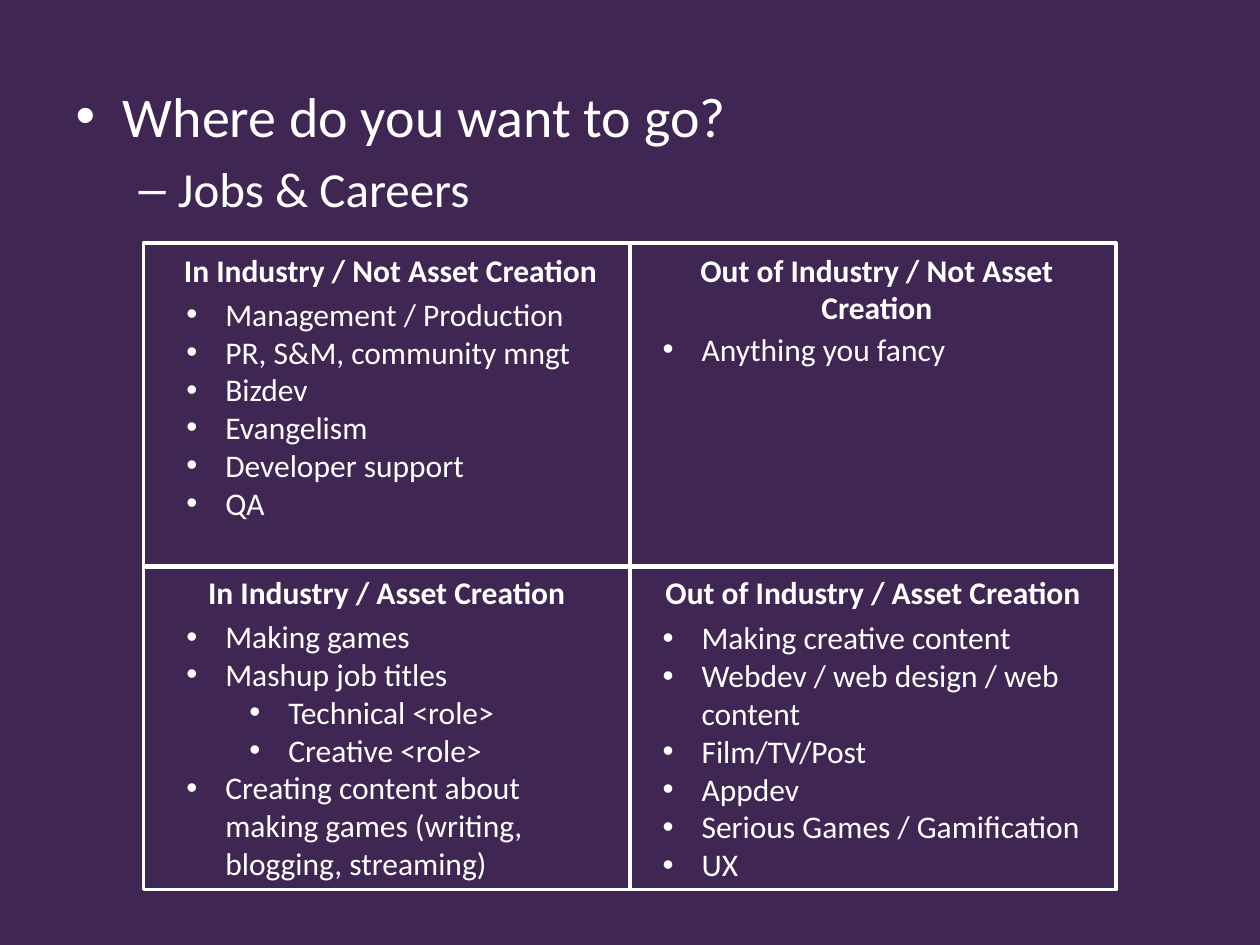
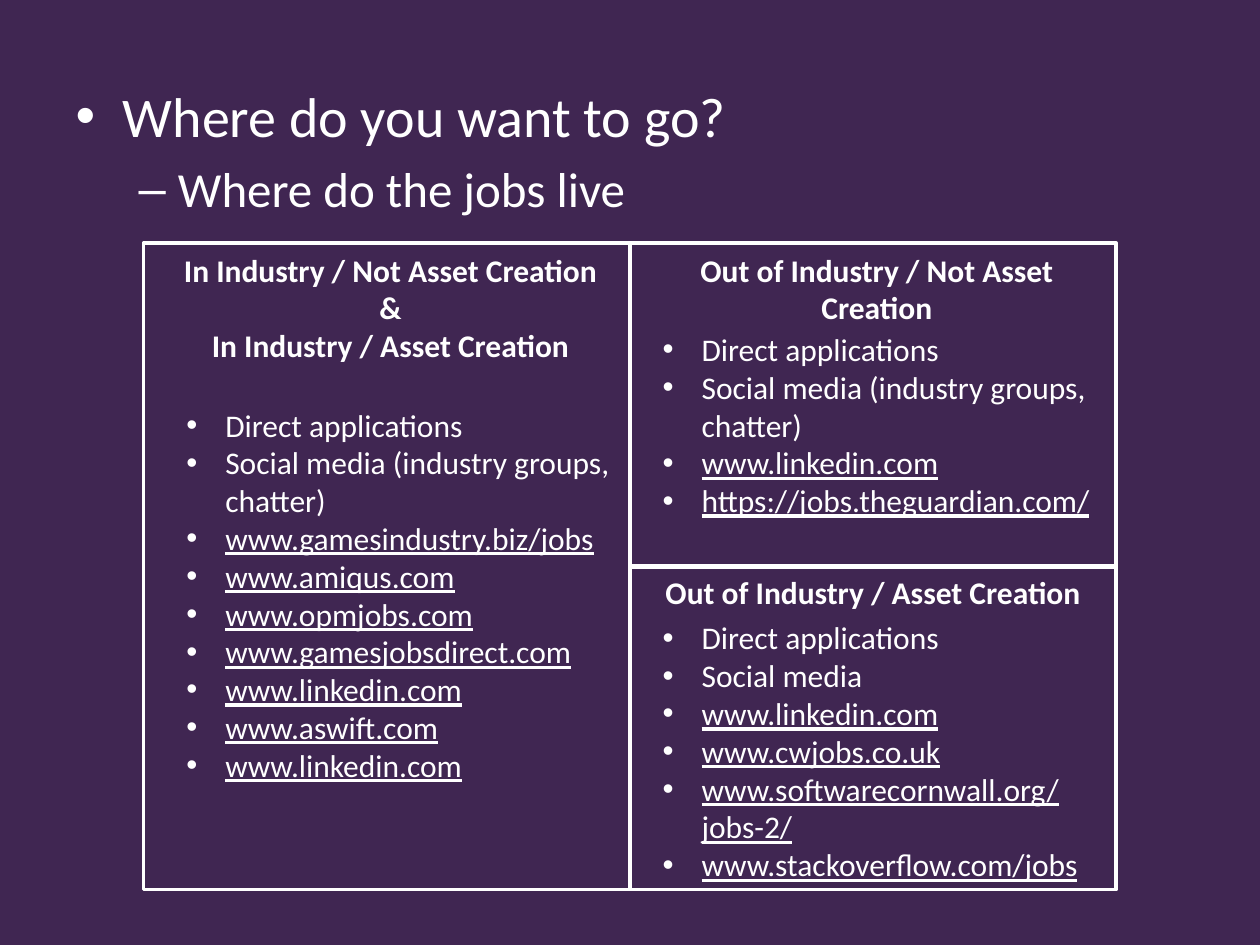
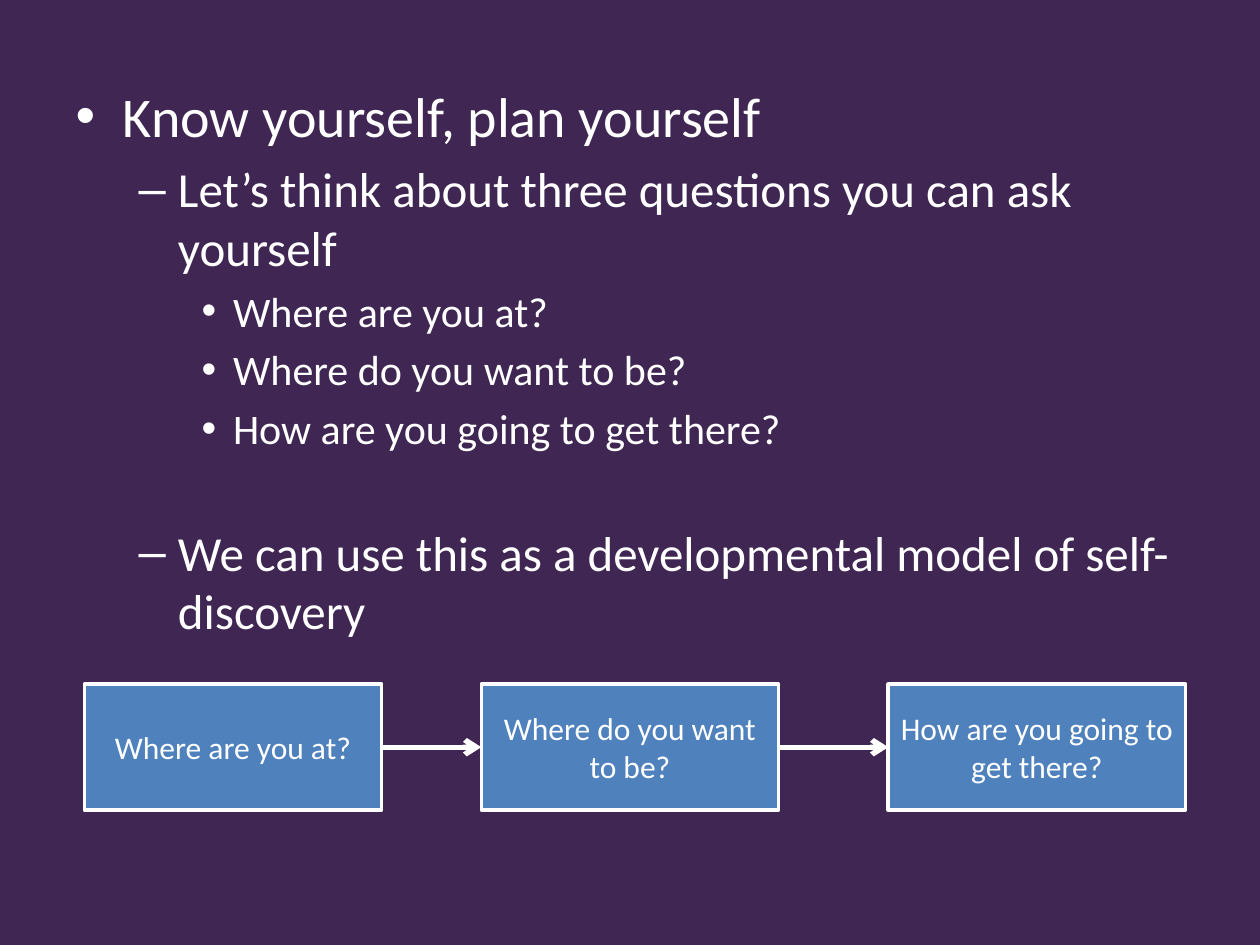
"""Builds three career-planning slides: two job quadrants and a self-discovery flow."""
from dataclasses import dataclass
from itertools import pairwise

from pptx import Presentation
from pptx.dml.color import RGBColor
from pptx.enum.shapes import MSO_CONNECTOR as Connector
from pptx.enum.shapes import MSO_SHAPE as Preset
from pptx.enum.text import MSO_ANCHOR as Anchor
from pptx.enum.text import MSO_AUTO_SIZE as AutoSize
from pptx.enum.text import PP_ALIGN as Align
from pptx.oxml.ns import qn
from pptx.util import Inches, Pt
from lxml.etree import SubElement

COLORS = {"background": "402652", "ink": "FFFFFF", "step": "4F81BD"}
FONT = "Calibri"
BODY_SIZES = (32, 28, 24)
GRID_LEFT, GRID_TOP = 1.14, 1.93
CELL_WIDTH, CELL_HEIGHT, ROW_PITCH = 3.86, 2.57, 2.56
LIST_LEFTS = (1.38, 5.16)
LIST_WIDTH = 3.62
STEP_LEFTS = (0.67, 3.82, 7.05)
STEP_TOP, STEP_WIDTH, STEP_HEIGHT = 5.43, 2.36, 1


@dataclass(frozen=True)
class Item:
    text: str
    level: int = 0
    space_before: float | None = None


@dataclass(frozen=True)
class Quadrant:
    column: int
    row: int
    headings: tuple[str, ...]
    heading_inset: float
    heading_height: float
    list_top: float
    list_height: float
    items: tuple[Item, ...]
    row_span: int = 1


def items(*texts: str) -> tuple[Item, ...]:
    return tuple(Item(text) for text in texts)


IN_NOT_ASSET = "In Industry / Not Asset Creation"
IN_ASSET = "In Industry / Asset Creation"
OUT_NOT_ASSET = "Out of Industry / Not Asset Creation"
OUT_ASSET = "Out of Industry / Asset Creation"
SOCIAL_MEDIA = "Social media (industry groups, chatter)"
QUESTIONS = ("Where are you at?", "Where do you want to be?", "How are you going to get there?")

CAREERS = (
    Quadrant(0, 1, (IN_ASSET,), 0, 0.38, 4.85, 2.06, (
        Item("Making games"),
        Item("Mashup job titles"),
        Item("Technical <role>", 1),
        Item("Creative <role>", 1),
        Item("Creating content about making games (writing, blogging, streaming)"),
    )),
    Quadrant(1, 1, (OUT_ASSET,), 0, 0.38, 4.86, 2.06, items(
        "Making creative content", "Webdev / web design / web content", "Film/TV/Post",
        "Appdev", "Serious Games / Gamification", "UX",
    )),
    Quadrant(0, 0, (IN_NOT_ASSET,), 0.06, 0.38, 2.29, 1.78, items(
        "Management / Production", "PR, S&M, community mngt", "Bizdev",
        "Evangelism", "Developer support", "QA",
    )),
    Quadrant(1, 0, (OUT_NOT_ASSET,), 0.06, 0.66, 2.57, 0.38, items("Anything you fancy")),
)

JOB_SOURCES = (
    Quadrant(1, 1, (OUT_ASSET,), 0, 0.38, 4.86, 2.06, items(
        "Direct applications", "Social media", "www.linkedin.com", "www.cwjobs.co.uk",
        "www.softwarecornwall.org/jobs-2/", "www.stackoverflow.com/jobs",
    )),
    Quadrant(0, 0, (IN_NOT_ASSET, "&", IN_ASSET), 0.06, 1.01, 3.17, 3.43, items(
        "Direct applications", SOCIAL_MEDIA, "www.gamesindustry.biz/jobs", "www.amiqus.com",
        "www.opmjobs.com", "www.gamesjobsdirect.com", "www.linkedin.com", "www.aswift.com",
        "www.linkedin.com",
    ), row_span=2),
    Quadrant(1, 0, (OUT_NOT_ASSET,), 0.06, 0.66, 2.57, 1.62, items(
        "Direct applications", SOCIAL_MEDIA, "www.linkedin.com", "https://jobs.theguardian.com/",
    )),
)


def color(name: str) -> RGBColor:
    return RGBColor.from_string(COLORS[name])


def style(paragraph, size: float = 18, bold: bool | None = None) -> None:
    font = paragraph.font
    font.name, font.size, font.bold = FONT, Pt(size), bold
    font.color.rgb = color("ink")


def add_paragraphs(frame, texts) -> list:
    """Fills an empty text frame, one paragraph for each text."""
    paragraphs = []
    for index, text in enumerate(texts):
        paragraph = frame.add_paragraph() if index else frame.paragraphs[0]
        paragraph.add_run().text = text
        paragraphs.append(paragraph)
    return paragraphs


def add_bullet(paragraph, level: int) -> None:
    properties = paragraph._p.get_or_add_pPr()
    properties.set("marL", str(Inches(0.31 + 0.5 * level)))
    properties.set("indent", str(-Inches(0.31)))
    SubElement(properties, qn("a:buFont")).set("typeface", "Arial")
    SubElement(properties, qn("a:buChar")).set("char", "•")


def add_slide(presentation, *outline: Item):
    """Adds a slide whose body placeholder holds the outline."""
    slide = presentation.slides.add_slide(presentation.slide_layouts[1])
    title = slide.shapes.title._element
    title.getparent().remove(title)
    body = slide.placeholders[1]
    body.left, body.top, body.width, body.height = map(Inches, (0.5, 0.6, 9, 6.9))
    paragraphs = add_paragraphs(body.text_frame, [item.text for item in outline])
    for paragraph, item in zip(paragraphs, outline):
        paragraph.level = item.level
        if item.space_before is not None:
            paragraph.space_before = Pt(item.space_before)
        style(paragraph, BODY_SIZES[item.level])
    return slide


def add_box(slide, left: float, top: float, width: float, height: float):
    box = slide.shapes.add_shape(Preset.RECTANGLE, *map(Inches, (left, top, width, height)))
    box.shadow.inherit = False
    box.fill.background()
    box.line.color.rgb = color("ink")
    box.line.width = Pt(2)
    return box


def add_text(slide, left: float, top: float, width: float, height: float, texts) -> list:
    frame = slide.shapes.add_textbox(*map(Inches, (left, top, width, height))).text_frame
    frame.word_wrap = True
    frame.auto_size = AutoSize.SHAPE_TO_FIT_TEXT
    return add_paragraphs(frame, texts)


def add_quadrant(slide, quadrant: Quadrant) -> None:
    """Draws one framed cell with its heading and bulleted list."""
    left = GRID_LEFT + quadrant.column * CELL_WIDTH
    top = GRID_TOP + quadrant.row * ROW_PITCH
    add_box(slide, left, top, CELL_WIDTH, CELL_HEIGHT + (quadrant.row_span - 1) * ROW_PITCH)

    inset = quadrant.heading_inset
    for paragraph in add_text(slide, left + inset, top + 0.01, CELL_WIDTH - inset,
                              quadrant.heading_height, quadrant.headings):
        paragraph.alignment = Align.CENTER
        style(paragraph, bold=True)

    paragraphs = add_text(slide, LIST_LEFTS[quadrant.column], quadrant.list_top, LIST_WIDTH,
                          quadrant.list_height, [item.text for item in quadrant.items])
    for paragraph, item in zip(paragraphs, quadrant.items):
        paragraph.level = item.level
        add_bullet(paragraph, item.level)
        style(paragraph)
        if item.text.startswith(("www.", "https:")):
            paragraph.font.underline = True


def add_step(slide, left: float, text: str):
    step = add_box(slide, left, STEP_TOP, STEP_WIDTH, STEP_HEIGHT)
    step.fill.solid()
    step.fill.fore_color.rgb = color("step")
    frame = step.text_frame
    frame.word_wrap = True
    frame.vertical_anchor = Anchor.MIDDLE
    for paragraph in add_paragraphs(frame, [text]):
        paragraph.alignment = Align.CENTER
        style(paragraph)
    return step


def add_arrow(slide, start, end) -> None:
    """Joins the right side of one step to the left side of the next."""
    arrow = slide.shapes.add_connector(Connector.STRAIGHT, 0, 0, 0, 0)
    arrow.begin_connect(start, 3)
    arrow.end_connect(end, 1)
    arrow.line.color.rgb = color("ink")
    arrow.line.width = Pt(3)
    properties = arrow._element.spPr
    SubElement(properties.find(qn("a:ln")), qn("a:tailEnd")).set("type", "arrow")
    SubElement(properties, qn("a:effectLst"))


def main() -> None:
    presentation = Presentation()
    presentation.slide_width, presentation.slide_height = Inches(10), Inches(7.5)
    background = presentation.slide_master.background.fill
    background.solid()
    background.fore_color.rgb = color("background")

    for subtitle, quadrants in (("Jobs & Careers", CAREERS),
                                ("Where do the jobs live", JOB_SOURCES)):
        slide = add_slide(presentation, Item("Where do you want to go?", 0, 0), Item(subtitle, 1))
        for quadrant in quadrants:
            add_quadrant(slide, quadrant)

    slide = add_slide(
        presentation,
        Item("Know yourself, plan yourself", 0, 0),
        Item("Let’s think about three questions you can ask yourself", 1),
        *(Item(question, 2) for question in QUESTIONS),
        Item("We can use this as a developmental model of self-discovery", 1, 39.5),
    )
    steps = [add_step(slide, left, text) for left, text in zip(STEP_LEFTS, QUESTIONS)]
    for start, end in pairwise(steps):
        add_arrow(slide, start, end)

    presentation.save("out.pptx")


if __name__ == "__main__":
    main()
